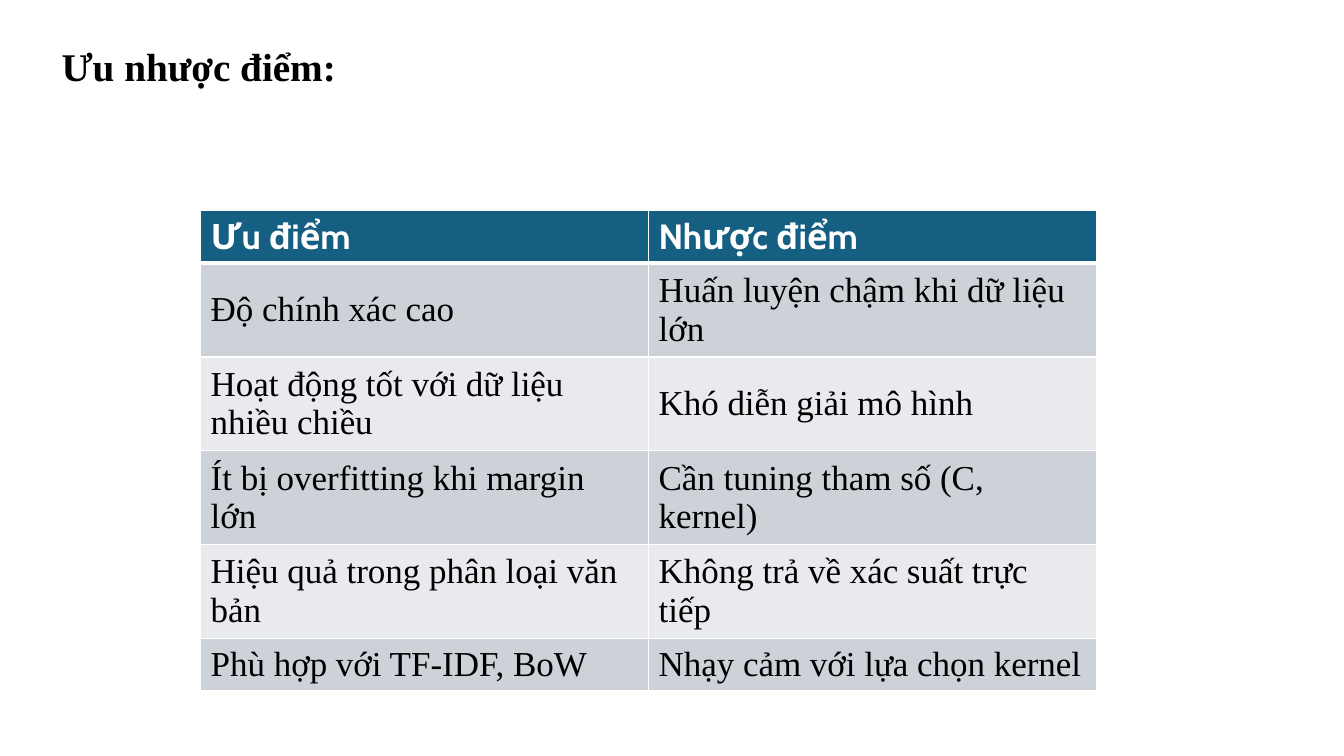
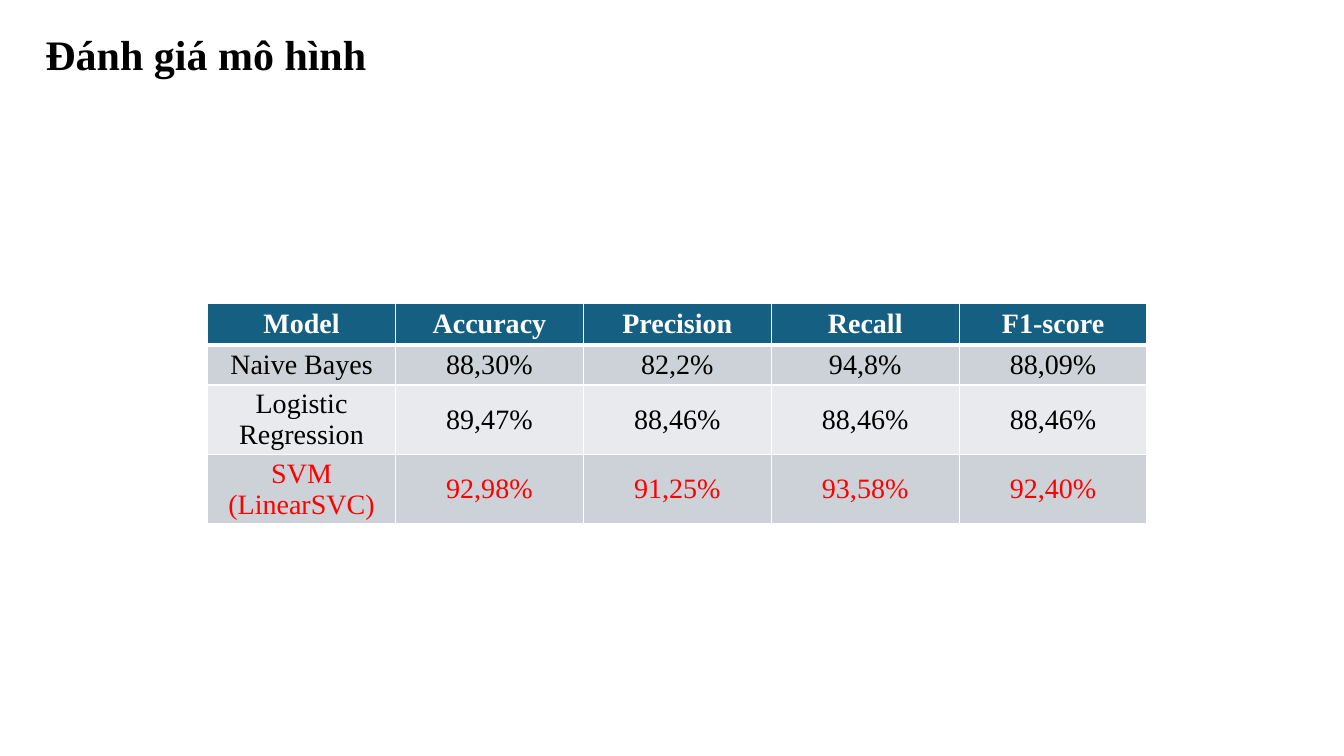
from lxml.etree import SubElement
from pptx import Presentation
from pptx.dml.color import RGBColor
from pptx.enum.text import MSO_ANCHOR, MSO_AUTO_SIZE, PP_ALIGN
from pptx.oxml.ns import qn
from pptx.util import Inches, Pt

SLIDE_WIDTH = Inches(13.33)
SLIDE_HEIGHT = Inches(7.5)
TITLE_ONLY = 5

BLACK = RGBColor(0x00, 0x00, 0x00)
WHITE = RGBColor(0xFF, 0xFF, 0xFF)
RED = RGBColor(0xFF, 0x00, 0x00)
HEADER_BLUE = RGBColor(0x15, 0x60, 0x82)
BAND_DARK = RGBColor(0xCC, 0xD2, 0xD8)
BAND_LIGHT = RGBColor(0xE8, 0xEA, 0xED)

SERIF = "Times New Roman"
SANS = "Cabin"
THIN = Pt(1)
THICK = Pt(3)

PROS_AND_CONS = [
    ("Ưu điểm", "Nhược điểm"),
    ("Độ chính xác cao", "Huấn luyện chậm khi dữ liệu lớn"),
    ("Hoạt động tốt với dữ liệu nhiều chiều", "Khó diễn giải mô hình"),
    ("Ít bị overfitting khi margin lớn", "Cần tuning tham số (C, kernel)"),
    ("Hiệu quả trong phân loại văn bản", "Không trả về xác suất trực tiếp"),
    ("Phù hợp với TF-IDF, BoW", "Nhạy cảm với lựa chọn kernel"),
]
MODEL_SCORES = [
    ("Model", "Accuracy", "Precision", "Recall", "F1-score"),
    ("Naive Bayes", "88,30%", "82,2%", "94,8%", "88,09%"),
    ("Logistic Regression", "89,47%", "88,46%", "88,46%", "88,46%"),
    ("SVM (LinearSVC)", "92,98%", "91,25%", "93,58%", "92,40%"),
]


def across(percent):
    return round(SLIDE_WIDTH * percent / 100)


def down(percent):
    return round(SLIDE_HEIGHT * percent / 100)


def style_font(font, name, size, color, bold):
    font.name = name
    font.size = Pt(size)
    font.color.rgb = color
    font.bold = bold


def add_titled_slide(prs, heading, left, top, width, height, size):
    slide = prs.slides.add_slide(prs.slide_layouts[TITLE_ONLY])
    title = slide.shapes.title
    title.left, title.top = across(left), down(top)
    title.width, title.height = across(width), down(height)
    frame = title.text_frame
    frame.text = heading
    frame.word_wrap = False
    frame.auto_size = MSO_AUTO_SIZE.NONE
    frame.vertical_anchor = MSO_ANCHOR.TOP
    paragraph = frame.paragraphs[0]
    paragraph.alignment = PP_ALIGN.LEFT
    style_font(paragraph.font, SERIF, size, BLACK, True)
    return slide


def set_borders(cell, top, bottom):
    properties = cell._tc.get_or_add_tcPr()
    widths = {"a:lnL": THIN, "a:lnR": THIN, "a:lnT": top, "a:lnB": bottom}
    for position, (side, width) in enumerate(widths.items()):
        line = SubElement(properties, qn(side), w=str(width))
        fill = SubElement(line, qn("a:solidFill"))
        SubElement(fill, qn("a:srgbClr"), val=str(WHITE))
        properties.insert(position, line)


def add_banded_table(slide, rows, left, top, width, heights, size,
                     header_font=SERIF, alignment=PP_ALIGN.LEFT,
                     insets=(0.1, 0.05), highlighted_row=None):
    columns = len(rows[0])
    table = slide.shapes.add_table(
        len(rows), columns, across(left), down(top),
        across(width), down(sum(heights))).table
    for column in table.columns:
        column.width = across(width / columns)
    for index, (row, height, texts) in enumerate(zip(table.rows, heights, rows)):
        row.height = down(height)
        is_header = index == 0
        band = BAND_DARK if index % 2 else BAND_LIGHT
        body_color = RED if index == highlighted_row else BLACK
        for cell, text in zip(row.cells, texts):
            cell.text = text
            cell.vertical_anchor = MSO_ANCHOR.MIDDLE
            cell.margin_left = cell.margin_right = Inches(insets[0])
            cell.margin_top = cell.margin_bottom = Inches(insets[1])
            cell.fill.solid()
            cell.fill.fore_color.rgb = HEADER_BLUE if is_header else band
            set_borders(cell, THICK if index == 1 else THIN,
                        THICK if is_header else THIN)
            paragraph = cell.text_frame.paragraphs[0]
            paragraph.alignment = alignment
            style_font(paragraph.font, header_font if is_header else SERIF, size,
                       WHITE if is_header else body_color, is_header)


def main():
    prs = Presentation()
    prs.slide_width, prs.slide_height = SLIDE_WIDTH, SLIDE_HEIGHT

    comparison = add_titled_slide(prs, "Ưu nhược điểm:", 3.83, 4.93, 22.13, 7.6, 28)
    add_banded_table(comparison, PROS_AND_CONS, 14.93, 27.87, 66.65,
                     [6.93] + [12.4] * 4 + [6.93], 25, header_font=SANS)

    evaluation = add_titled_slide(prs, "Đánh giá mô hình", 2.63, 3.07, 25.58, 8.13, 30)
    add_banded_table(evaluation, MODEL_SCORES, 15.45, 40.13, 69.9,
                     [5.47, 5.33, 9.2, 9.2], 20, alignment=PP_ALIGN.CENTER,
                     insets=(0.07, 0.03), highlighted_row=3)

    prs.save("out.pptx")


if __name__ == "__main__":
    main()
